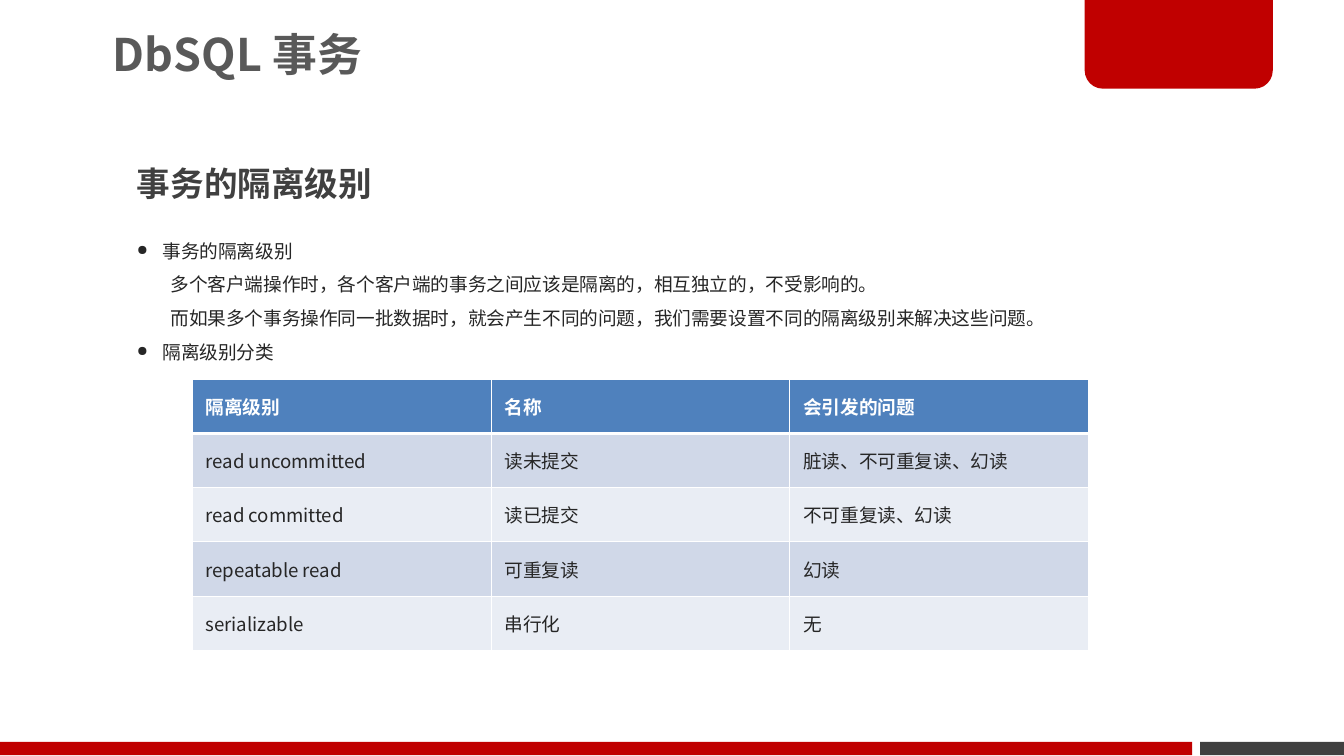
from dataclasses import dataclass
from typing import Any

from lxml.etree import SubElement
from pptx import Presentation
from pptx.dml.color import RGBColor
from pptx.enum.shapes import MSO_SHAPE as Shape
from pptx.enum.text import MSO_ANCHOR as Anchor, MSO_AUTO_SIZE as AutoSize, PP_ALIGN as Align
from pptx.oxml.ns import qn
from pptx.util import Inches, Pt


@dataclass(frozen=True)
class Theme:
    font: str = "Noto Sans CJK SC"
    red: str = "C00000"
    dark: str = "404040"
    title: str = "595959"
    ink: str = "262626"
    white: str = "FFFFFF"
    header: str = "4F81BD"
    bands: tuple[str, str] = ("D0D8E8", "E9EDF4")
    title_size: int = 24
    heading_size: int = 18
    body_size: int = 10
    thin: float = 0.45
    thick: float = 1.47


@dataclass(frozen=True)
class Box:
    left: float
    top: float
    width: float
    height: float

    def emu(self) -> tuple[int, ...]:
        return tuple(Inches(v) for v in (self.left, self.top, self.width, self.height))


@dataclass(frozen=True)
class Block:
    box: Box
    kind: Any
    color: str


@dataclass(frozen=True)
class Line:
    text: str
    bullet: bool = False


THEME = Theme()

BLOCKS = [
    Block(Box(8.93, 5.52, 1.07, 0.1), Shape.RECTANGLE, THEME.dark),
    Block(Box(8.07, -0.02, 1.4, 0.68), Shape.ROUND_2_SAME_RECTANGLE, THEME.red),
    Block(Box(0, 5.52, 8.87, 0.1), Shape.RECTANGLE, THEME.red),
]

LINES = [
    Line("事务的隔离级别", bullet=True),
    Line("多个客户端操作时，各个客户端的事务之间应该是隔离的，相互独立的，不受影响的。"),
    Line("而如果多个事务操作同一批数据时，就会产生不同的问题，我们需要设置不同的隔离级别来解决这些问题。"),
    Line("隔离级别分类", bullet=True),
]

LEVELS = [
    ("隔离级别", "名称", "会引发的问题"),
    ("read uncommitted", "读未提交", "脏读、不可重复读、幻读"),
    ("read committed", "读已提交", "不可重复读、幻读"),
    ("repeatable read", "可重复读", "幻读"),
    ("serializable", "串行化", "无"),
]


def add_run(p: Any, text: str, size: int, color: str, bold: bool = False) -> None:
    r = p.add_run()
    r.text = text
    r.font.size, r.font.bold, r.font.name = Pt(size), bold, THEME.font
    r.font.color.rgb = RGBColor.from_string(color)
    SubElement(r.font._element, qn("a:ea"), typeface=THEME.font)


def add_block(slide: Any, block: Block) -> None:
    s = slide.shapes.add_shape(block.kind, *block.box.emu())
    s.shadow.inherit = False
    s.fill.solid()
    s.fill.fore_color.rgb = RGBColor.from_string(block.color)
    s.line.fill.background()
    if block.kind == Shape.ROUND_2_SAME_RECTANGLE:
        s.adjustments[0] = 0.2
        s.rotation = 180


def add_title(slide: Any, box: Box, text: str) -> None:
    s = slide.shapes.title
    s.left, s.top, s.width, s.height = box.emu()
    tf = s.text_frame
    tf.auto_size, tf.vertical_anchor = AutoSize.NONE, Anchor.MIDDLE
    tf.margin_left, tf.margin_right = Inches(0.15), Inches(0.08)
    tf.margin_top = tf.margin_bottom = Inches(0.04)
    p = tf.paragraphs[0]
    p.alignment, p.line_spacing = Align.LEFT, 0.9
    add_run(p, text, THEME.title_size, THEME.title, True)


def add_text_box(slide: Any, box: Box) -> Any:
    tf = slide.shapes.add_textbox(*box.emu()).text_frame
    tf.word_wrap, tf.auto_size = True, AutoSize.SHAPE_TO_FIT_TEXT
    return tf


def set_indent(p: Any, bullet: bool) -> None:
    ppr = p._p.get_or_add_pPr()
    ppr.set("marL", str(Inches(0.19 if bullet else 0.25)))
    ppr.set("indent", str(Inches(-0.19 if bullet else 0)))
    if bullet:
        SubElement(SubElement(ppr, qn("a:buClr")), qn("a:srgbClr"), val=THEME.ink)
        SubElement(ppr, qn("a:buSzPct"), val="75000")
        SubElement(ppr, qn("a:buChar"), char="●")


def add_borders(cell: Any, row: int) -> None:
    tc_pr = cell._tc.get_or_add_tcPr()
    for side in "LRTB":
        at_header_rule = (row, side) in ((0, "B"), (1, "T"))
        width = Pt(THEME.thick if at_header_rule else THEME.thin)
        ln = SubElement(tc_pr, qn(f"a:ln{side}"), w=str(width))
        SubElement(SubElement(ln, qn("a:solidFill")), qn("a:srgbClr"), val=THEME.white)


def add_level_table(slide: Any, box: Box, rows: list[tuple[str, ...]]) -> None:
    table = slide.shapes.add_table(len(rows), len(rows[0]), *box.emu()).table
    for i, row in enumerate(rows):
        is_header = i == 0
        fill = THEME.header if is_header else THEME.bands[(i - 1) % 2]
        color = THEME.white if is_header else THEME.ink
        for j, text in enumerate(row):
            cell = table.cell(i, j)
            add_borders(cell, i)
            cell.fill.solid()
            cell.fill.fore_color.rgb = RGBColor.from_string(fill)
            cell.vertical_anchor = Anchor.MIDDLE
            add_run(cell.text_frame.paragraphs[0], text, THEME.body_size, color, is_header)


def main() -> None:
    prs = Presentation()
    prs.slide_width = Inches(10)
    prs.slide_height = prs.slide_width * 9 // 16
    slide = prs.slides.add_slide(prs.slide_layouts[5])

    # Corner tab and footer bars
    for block in BLOCKS:
        add_block(slide, block)

    # Title and section heading
    add_title(slide, Box(0.69, -0.02, 5.89, 0.89), "DbSQL 事务")
    p = add_text_box(slide, Box(0.92, 1.01, 3.84, 0.55)).paragraphs[0]
    p.line_spacing = 1.5
    add_run(p, "事务的隔离级别", THEME.heading_size, THEME.dark, True)

    # Explanation
    tf = add_text_box(slide, Box(0.92, 1.65, 7.32, 1.1))
    for i, line in enumerate(LINES):
        p = tf.add_paragraph() if i else tf.paragraphs[0]
        p.line_spacing = 1.5
        set_indent(p, line.bullet)
        add_run(p, line.text, THEME.body_size, THEME.ink)

    # Isolation levels
    add_level_table(slide, Box(1.43, 2.82, 6.67, 2.02), LEVELS)

    prs.save("out.pptx")


if __name__ == "__main__":
    main()
